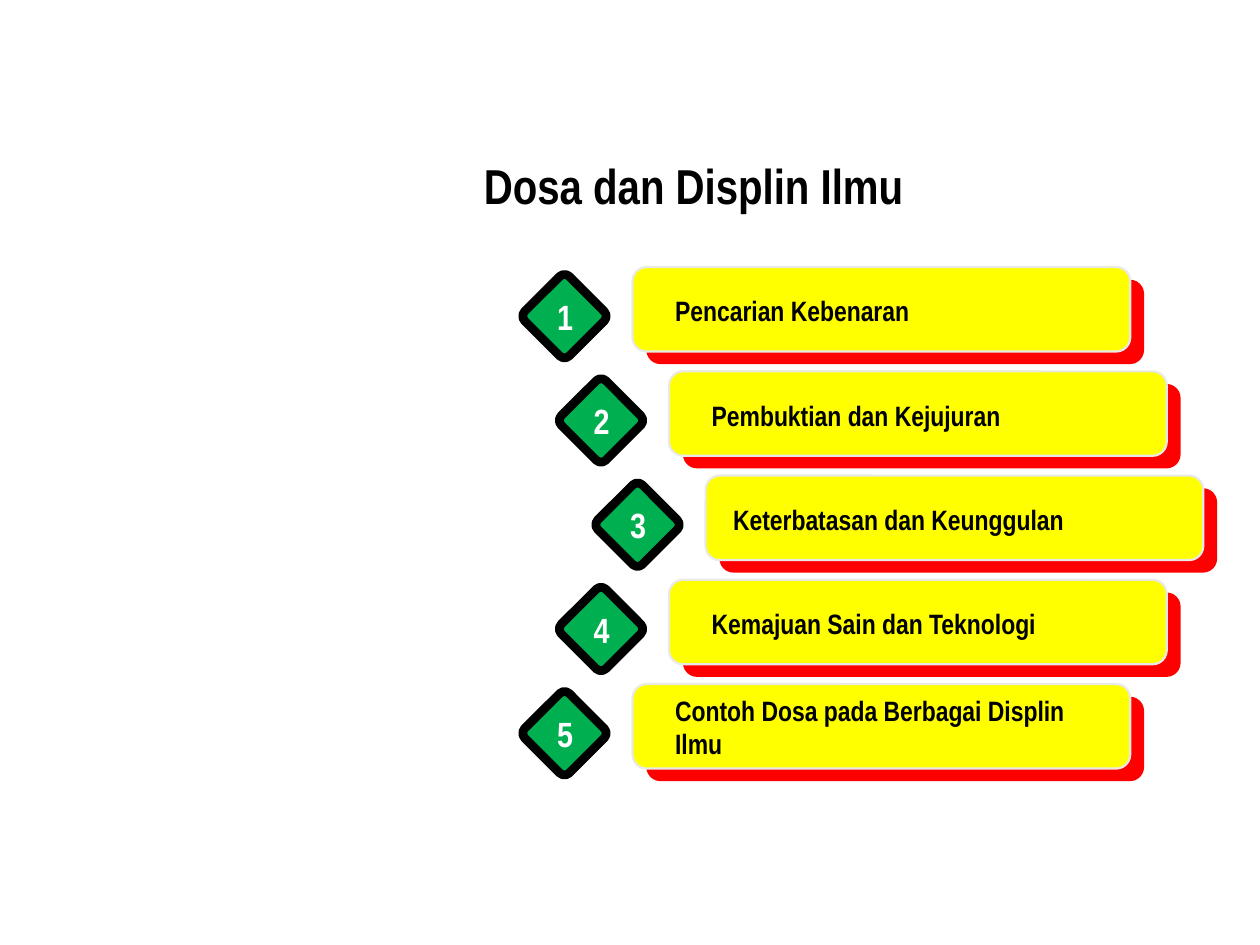
from dataclasses import dataclass

from pptx import Presentation
from pptx.dml.color import RGBColor
from pptx.enum.shapes import MSO_SHAPE
from pptx.enum.text import MSO_ANCHOR, PP_ALIGN
from pptx.shapes.autoshape import Shape
from pptx.shapes.shapetree import GroupShapes
from pptx.text.text import TextFrame
from pptx.util import Inches, Pt

ROUNDED = MSO_SHAPE.ROUNDED_RECTANGLE
MIDDLE = MSO_ANCHOR.MIDDLE
LEFT, CENTER = PP_ALIGN.LEFT, PP_ALIGN.CENTER

FONT = "Arial Narrow"
COLORS = {
    "text": "000000",
    "number": "FFFFFF",
    "bar": "FFFF00",
    "bar_edge": "E9EAE4",
    "backing": "FF0000",
    "diamond": "00B050",
    "diamond_edge": "000000",
}

FIRST_LEFT, FIRST_TOP = 5.02, 2.12
ROW_STEP = (5.43 - FIRST_TOP) / 4
INDENT_STEP = 0.29
BAR_WIDTH, BAR_HEIGHT = 3.95, 0.67


@dataclass
class Topic:
    title: str
    indent: int
    label_left: float = 0.24
    label_top: float = 0.16
    label_height: float = 0.37


TOPICS = [
    Topic("Pencarian Kebenaran", 0),
    Topic("Pembuktian dan Kejujuran", 1),
    Topic("Keterbatasan dan Keunggulan", 2, label_left=0.12),
    Topic("Kemajuan Sain dan Teknologi", 1),
    Topic("Contoh Dosa pada Berbagai Displin Ilmu", 0,
          label_top=0.02, label_height=0.64),
]


def color(name: str) -> RGBColor:
    return RGBColor.from_string(COLORS[name])


def write(frame: TextFrame, text: str, size: float, color_name: str,
          alignment: PP_ALIGN = LEFT, wrap: bool = True) -> None:
    frame.word_wrap = wrap
    frame.vertical_anchor = MIDDLE
    paragraph = frame.paragraphs[0]
    paragraph.text = text
    paragraph.alignment = alignment
    font = paragraph.font
    font.name, font.size, font.bold = FONT, Pt(size), True
    font.color.rgb = color(color_name)


def add_rounded(shapes: GroupShapes, left: float, top: float, width: float,
                height: float, fill: str, edge: str = "",
                edge_width: float = 0) -> Shape:
    shape = shapes.add_shape(ROUNDED, Inches(left), Inches(top),
                             Inches(width), Inches(height))
    shape.shadow.inherit = False
    shape.fill.solid()
    shape.fill.fore_color.rgb = color(fill)
    if edge:
        shape.line.color.rgb = color(edge)
        shape.line.width = Pt(edge_width)
    else:
        shape.line.fill.background()
    return shape


def add_topic(shapes: GroupShapes, index: int, topic: Topic) -> None:
    """Draw one grouped row: backing, bar, label and numbered diamond."""
    left = FIRST_LEFT + topic.indent * INDENT_STEP
    top = FIRST_TOP + index * ROW_STEP

    add_rounded(shapes, left + 0.11, top + 0.1, BAR_WIDTH, BAR_HEIGHT, "backing")
    add_rounded(shapes, left, top, BAR_WIDTH, BAR_HEIGHT, "bar", "bar_edge", 1.25)
    label = shapes.add_textbox(Inches(left + topic.label_left),
                               Inches(top + topic.label_top),
                               Inches(3.31), Inches(topic.label_height))
    write(label.text_frame, topic.title, 16, "text")

    diamond = add_rounded(shapes, left - 0.79, top + 0.14, 0.5, 0.5,
                          "diamond", "diamond_edge", 5)
    diamond.adjustments[0] = 0.107
    diamond.rotation = 45
    number = shapes.add_textbox(Inches(left - 0.7), Inches(top + 0.17),
                                Inches(0.33), Inches(0.44))
    write(number.text_frame, str(index + 1), 20, "number", CENTER, wrap=False)


def main() -> None:
    presentation = Presentation()
    presentation.slide_width = Inches(10)
    presentation.slide_height = Inches(7.5)
    slide = presentation.slides.add_slide(presentation.slide_layouts[5])

    title = slide.shapes.title
    title.left, title.top = Inches(3.74), Inches(1.15)
    title.width, title.height = Inches(6.26), Inches(0.63)
    write(title.text_frame, "Dosa dan Displin Ilmu", 28, "text")

    for index, topic in enumerate(TOPICS):
        add_topic(slide.shapes.add_group_shape().shapes, index, topic)

    presentation.save("out.pptx")


if __name__ == "__main__":
    main()
